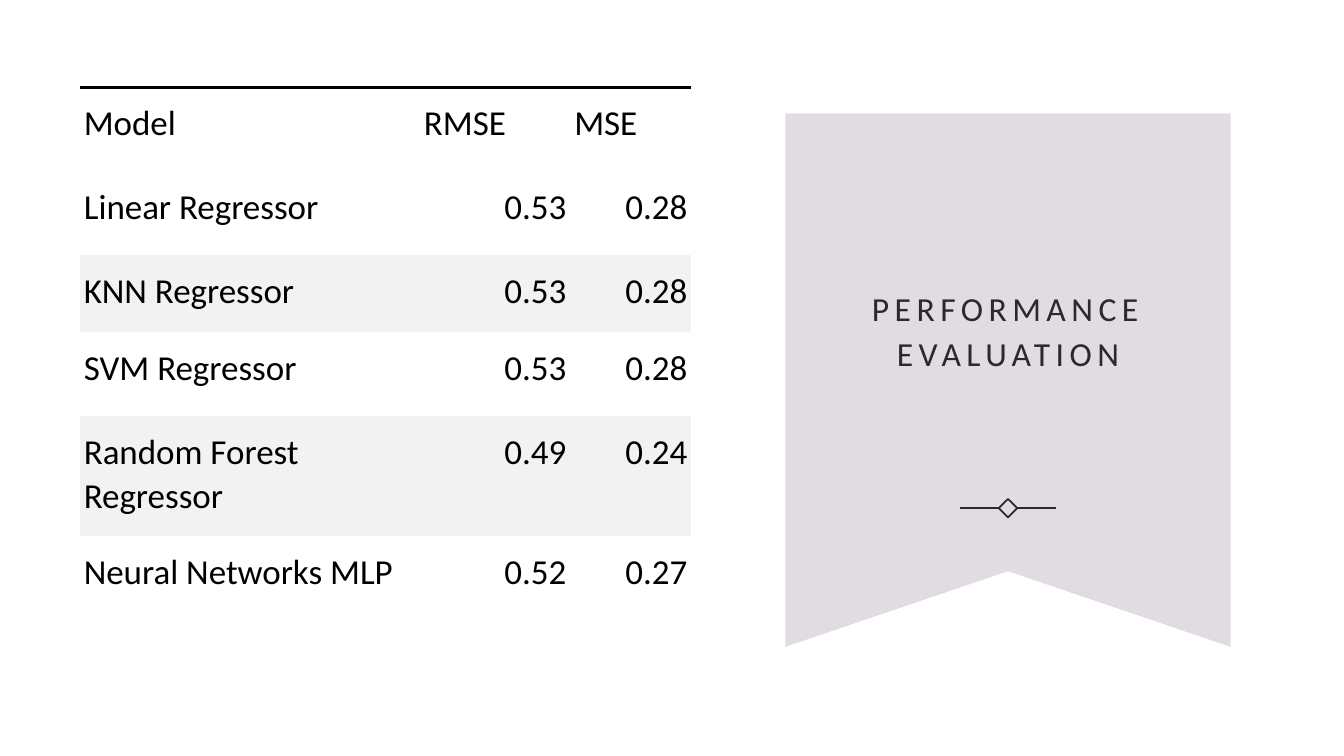
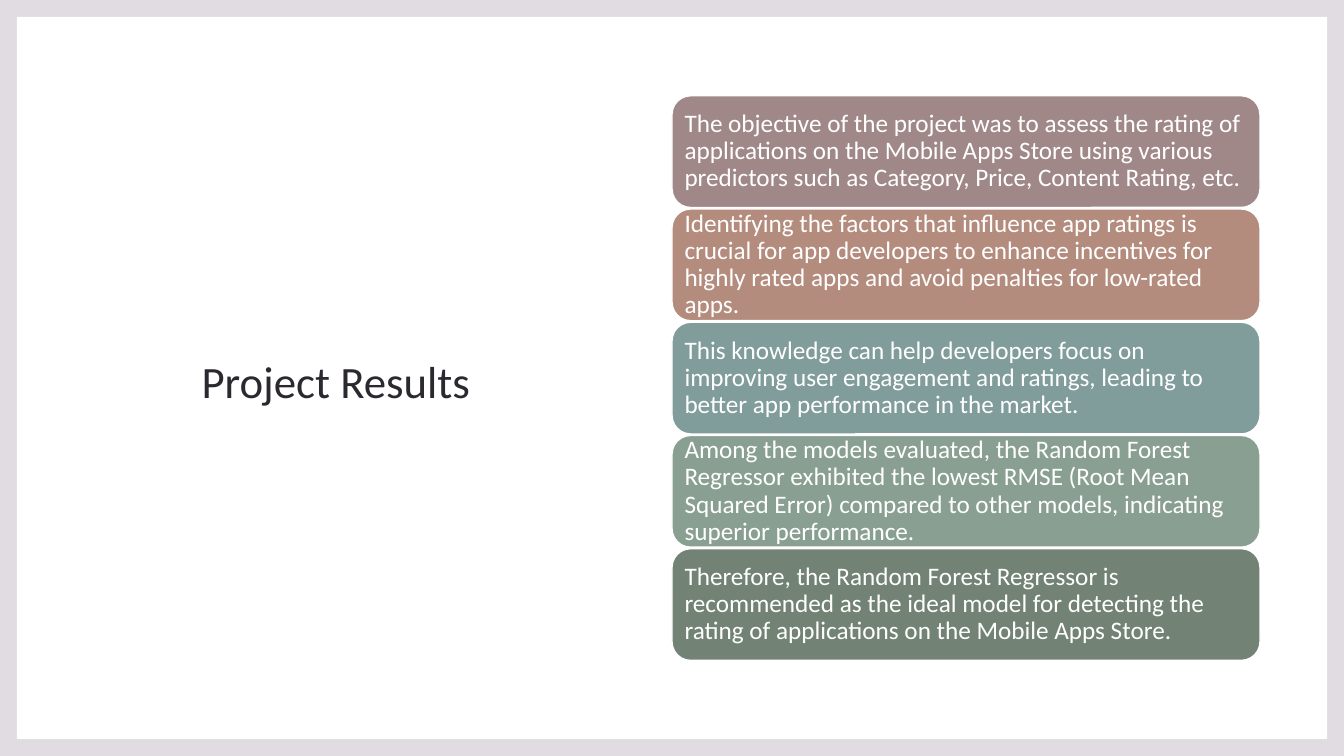
from lxml import etree
from pptx import Presentation
from pptx.dml.color import RGBColor
from pptx.enum.shapes import MSO_CONNECTOR, MSO_SHAPE
from pptx.enum.text import MSO_ANCHOR, MSO_AUTO_SIZE, PP_ALIGN
from pptx.oxml import parse_xml
from pptx.oxml.ns import nsdecls, qn
from pptx.util import Inches, Pt

LEFT, CENTER, RIGHT = PP_ALIGN.LEFT, PP_ALIGN.CENTER, PP_ALIGN.RIGHT
TOP, MIDDLE, BOTTOM = MSO_ANCHOR.TOP, MSO_ANCHOR.MIDDLE, MSO_ANCHOR.BOTTOM
NO_AUTOFIT = MSO_AUTO_SIZE.NONE
RECTANGLE = MSO_SHAPE.RECTANGLE
ROUNDED = MSO_SHAPE.ROUNDED_RECTANGLE
DIAMOND = MSO_SHAPE.DIAMOND
STRAIGHT = MSO_CONNECTOR.STRAIGHT

WHITE = RGBColor(0xFF, 0xFF, 0xFF)
BLACK = RGBColor(0x00, 0x00, 0x00)
INK = RGBColor(0x2C, 0x28, 0x30)
LILAC = RGBColor(0xE0, 0xDC, 0xE1)
BAND = RGBColor(0xF2, 0xF2, 0xF2)
MAUVE = RGBColor(0xA0, 0x88, 0x89)
CLAY = RGBColor(0xB4, 0x8C, 0x7E)
TEAL = RGBColor(0x80, 0x9C, 0x9B)
SAGE = RGBColor(0x89, 0x9F, 0x91)
MOSS = RGBColor(0x72, 0x82, 0x74)

FONT = "Calibri"
COLUMNS, ROWS = 160, 90
WIDTH, HEIGHT = Inches(13.33), Inches(7.5)
PLAIN_TABLE = "{2D5ABB26-0587-4C30-8999-92F81FD0307C}"

SCORES = [
    ("Model", "RMSE", "MSE"),
    ("Linear Regressor", "0.53", "0.28"),
    ("KNN Regressor", "0.53", "0.28"),
    ("SVM Regressor", "0.53", "0.28"),
    ("Random Forest Regressor", "0.49", "0.24"),
    ("Neural Networks MLP", "0.52", "0.27"),
]

RESULTS = [
    (MAUVE, "The objective of the project was to assess the rating of applications on the "
            "Mobile Apps Store using various predictors such as Category, Price, Content "
            "Rating, etc."),
    (CLAY, "Identifying the factors that influence app ratings is crucial for app developers "
           "to enhance incentives for highly rated apps and avoid penalties for low-rated apps."),
    (TEAL, "This knowledge can help developers focus on improving user engagement and "
           "ratings, leading to better app performance in the market."),
    (SAGE, "Among the models evaluated, the Random Forest Regressor exhibited the lowest "
           "RMSE (Root Mean Squared Error) compared to other models, indicating superior "
           "performance."),
    (MOSS, "Therefore, the Random Forest Regressor is recommended as the ideal model for "
           "detecting the rating of applications on the Mobile Apps Store."),
]


def across(columns):
    return round(WIDTH * columns / COLUMNS)


def down(rows):
    return round(HEIGHT * rows / ROWS)


def area(left, top, width, height):
    return across(left), down(top), across(width), down(height)


class SlideBuilder:
    def __init__(self):
        self.deck = Presentation()
        self.deck.slide_width, self.deck.slide_height = WIDTH, HEIGHT
        self.page = None

    def new_page(self, background):
        self.page = self.deck.slides.add_slide(self.deck.slide_layouts[5])
        fill = self.page.background.fill
        fill.solid()
        fill.fore_color.rgb = background

    def set_text(self, frame, text, size, color, align, spacing):
        frame.word_wrap = True
        para = frame.paragraphs[0]
        para.text = text
        para.alignment = align
        para.line_spacing = spacing
        para.font.name = FONT
        para.font.size = Pt(size)
        para.font.color.rgb = color
        return para

    def title(self, text, box, size, anchor, tracking=0):
        title = self.page.shapes.title
        title.left, title.top, title.width, title.height = area(*box)
        frame = title.text_frame
        frame.auto_size = NO_AUTOFIT
        frame.vertical_anchor = anchor
        para = self.set_text(frame, text, size, INK, CENTER, 1.1)
        if tracking:
            for span in para.runs:
                span.font._element.set("spc", str(round(tracking * 100)))
        self.page.shapes._spTree.append(title._element)

    def paint(self, shape, fill=None, line=None, weight=1):
        shape.shadow.inherit = False
        if fill is None:
            shape.fill.background()
        else:
            shape.fill.solid()
            shape.fill.fore_color.rgb = fill
        if line is None:
            shape.line.fill.background()
        else:
            shape.line.color.rgb = line
            shape.line.width = Pt(weight)
        return shape

    def shape(self, kind, box, **style):
        return self.paint(self.page.shapes.add_shape(kind, *area(*box)), **style)

    def ribbon(self, left, top, width, height, notch):
        right, bottom = left + width, top + height
        corners = [(right, top), (right, bottom),
                   (left + width / 2, bottom - notch), (left, bottom)]
        outline = self.page.shapes.build_freeform(across(left), down(top))
        outline.add_line_segments([(across(x), down(y)) for x, y in corners])
        self.paint(outline.convert_to_shape(), fill=LILAC)

    def ornament(self, center, middle, half, arm):
        diamond = self.shape(DIAMOND, (center - half, middle - half, 2 * half, 2 * half),
                             line=INK, weight=1.25)
        for side, site in ((-1, 1), (1, 3)):
            line = self.page.shapes.add_connector(
                STRAIGHT, across(center + side * half), down(middle),
                across(center + side * (half + arm)), down(middle))
            line.begin_connect(diamond, site)
            line.line.color.rgb = INK
            line.line.width = Pt(1.25)
            etree.SubElement(line._element.spPr, qn("a:effectLst"))

    def card(self, box, text, color):
        frame = self.shape(ROUNDED, box, fill=color, line=WHITE).text_frame
        frame.margin_left = frame.margin_right = Inches(0.07)
        frame.margin_top = frame.margin_bottom = 0
        frame.vertical_anchor = MIDDLE
        self.set_text(frame, text, 18, WHITE, LEFT, 0.9)

    def top_border(self, cell):
        cell._tc.get_or_add_tcPr().insert(0, parse_xml(
            f'<a:lnT {nsdecls("a")} w="{Pt(2.25)}"><a:solidFill>'
            f'<a:srgbClr val="{BLACK}"/></a:solidFill></a:lnT>'))

    def table(self, left, top, widths, heights, records):
        box = area(left, top, sum(widths), sum(heights))
        table = self.page.shapes.add_table(len(heights), len(widths), *box).table
        table.first_row = table.horz_banding = False
        table._tbl.tblPr.find(qn("a:tableStyleId")).text = PLAIN_TABLE
        for column, width in zip(table.columns, widths):
            column.width = across(width)
        for row, height in zip(table.rows, heights):
            row.height = down(height)
        for r, record in enumerate(records):
            for c, text in enumerate(record):
                cell = table.cell(r, c)
                cell.margin_left = cell.margin_right = Inches(0.04)
                cell.margin_top = cell.margin_bottom = Inches(0.14)
                cell.vertical_anchor = TOP
                cell.fill.solid()
                cell.fill.fore_color.rgb = BAND if r and r % 2 == 0 else WHITE
                self.set_text(cell.text_frame, text, 25, BLACK,
                              RIGHT if r and c else LEFT, 1.03)
                if r == 0:
                    self.top_border(cell)


def performance_slide(builder):
    builder.new_page(WHITE)
    builder.ribbon(93.5, 13.5, 53, 63.5, notch=9)
    builder.ornament(120, 60.5, half=1.1, arm=4.6)
    builder.title("PERFORMANCE EVALUATION", (98.5, 18.4, 43, 26.6), 24, BOTTOM, tracking=3.9)
    builder.table(9.5, 10.4, (40.5, 17.9, 14.4), (10, 10, 9.1, 10, 14.3, 15.8), SCORES)


def results_slide(builder):
    builder.new_page(LILAC)
    builder.shape(RECTANGLE, (2, 2, COLUMNS - 4, ROWS - 4), fill=WHITE)
    builder.title("Project Results", (13.5, 13.5, 53, 63), 32, MIDDLE)
    for index, (color, text) in enumerate(RESULTS):
        builder.card((80, 11.4 + 13.48 * index, 70, 13.3), text, color)


def main():
    builder = SlideBuilder()
    performance_slide(builder)
    results_slide(builder)
    builder.deck.save("out.pptx")


if __name__ == "__main__":
    main()
